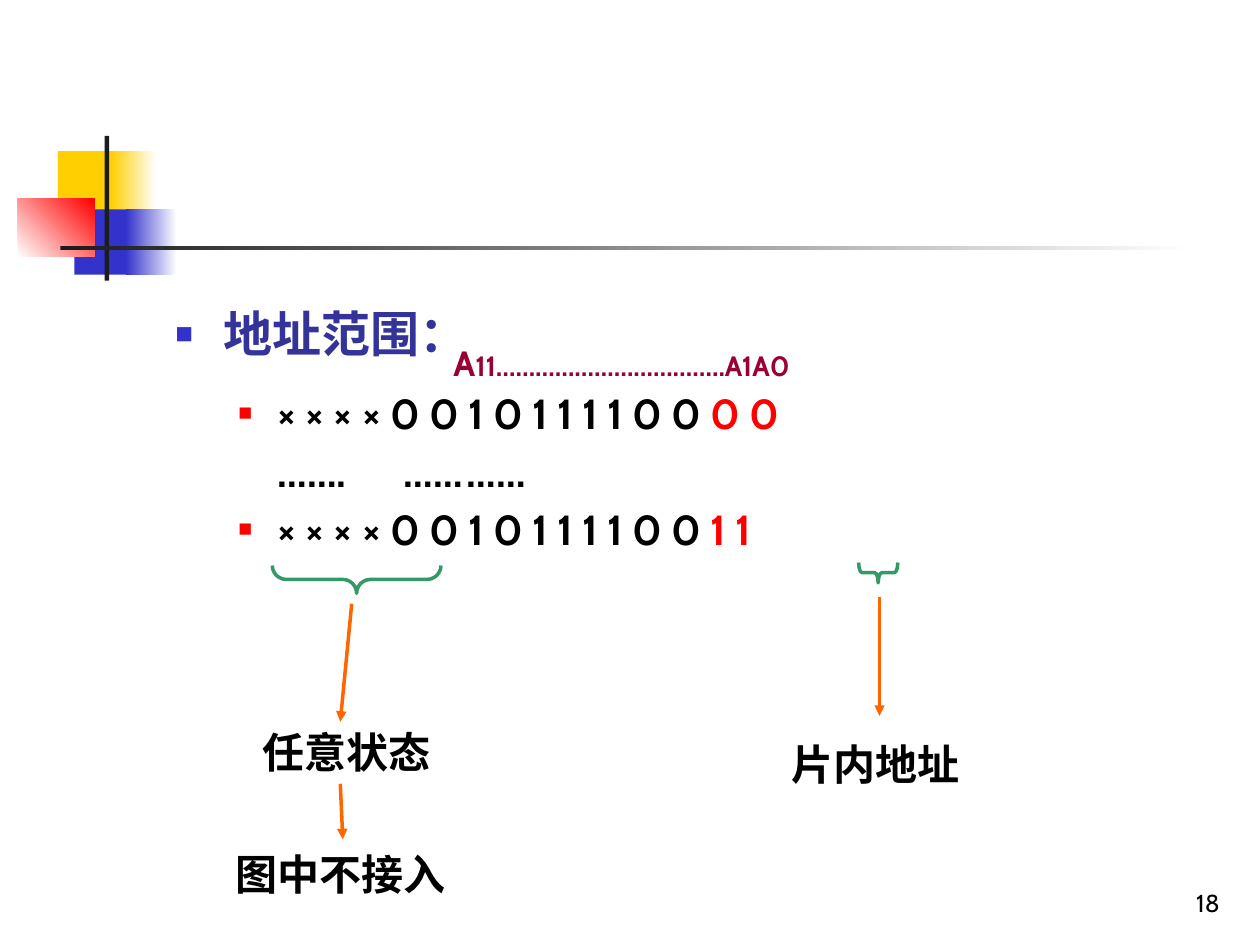
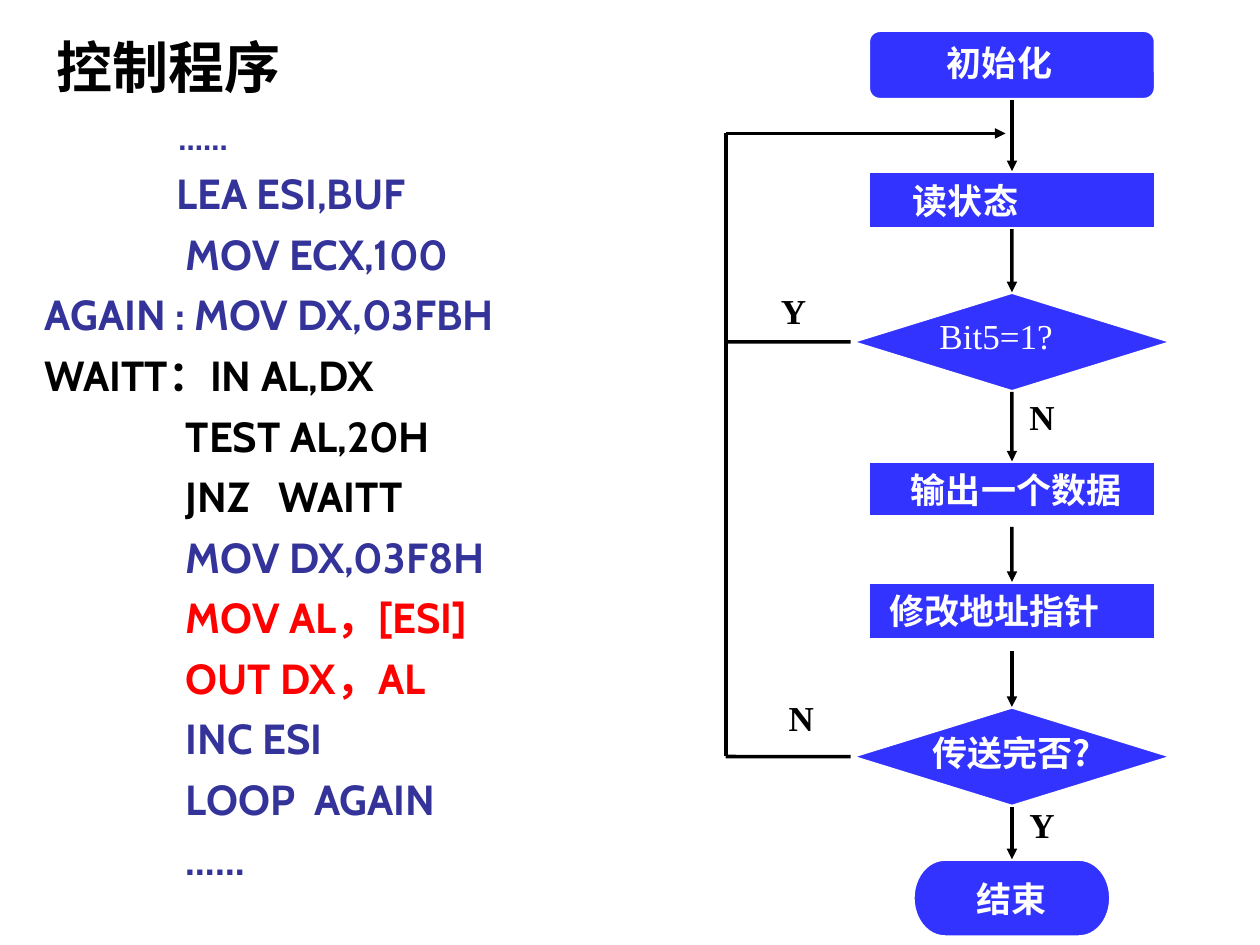
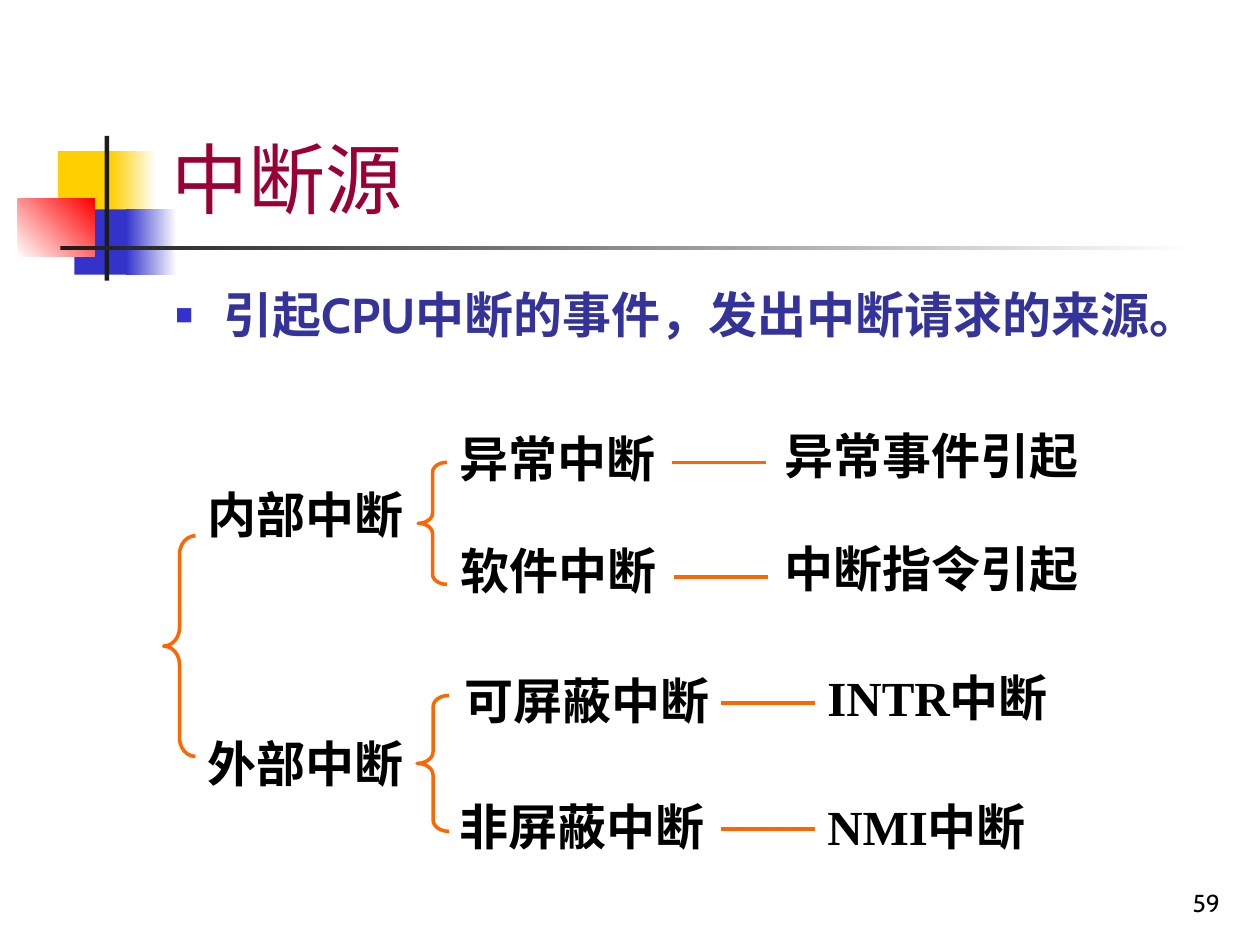
from lxml.etree import SubElement
from pptx import Presentation
from pptx.dml.color import RGBColor
from pptx.enum.lang import MSO_LANGUAGE_ID as Language
from pptx.enum.shapes import MSO_CONNECTOR as Connector, MSO_SHAPE as Preset
from pptx.enum.text import MSO_ANCHOR as Anchor, MSO_AUTO_SIZE as AutoSize, PP_ALIGN as Align
from pptx.oxml.ns import qn
from pptx.util import Cm, Pt

BLACK = RGBColor(0x00, 0x00, 0x00)
WHITE = RGBColor(0xFF, 0xFF, 0xFF)
INK = RGBColor(0x1C, 0x1C, 0x1C)
YELLOW = RGBColor(0xFF, 0xCF, 0x01)
BLUE = RGBColor(0x33, 0x33, 0xCC)
NAVY = RGBColor(0x33, 0x33, 0x99)
STEP_BLUE = RGBColor(0x33, 0x33, 0xFF)
RED = RGBColor(0xFF, 0x00, 0x00)
WINE = RGBColor(0x99, 0x00, 0x33)
GREEN = RGBColor(0x33, 0x99, 0x66)
ORANGE = RGBColor(0xFF, 0x66, 0x00)

SANS, SONG, SERIF = "Cabin", "Noto Sans CJK SC", "Times New Roman"
LINE_WIDTH = Pt(2)
LIST_GAP = 4.4
FLOW_AXIS = 20.4
STEP_WIDTH = 5.79


class Deck:
    """Holds the presentation, its style and the current page."""

    def __init__(self):
        self.file = Presentation()
        self.file.slide_width, self.file.slide_height = Cm(25.4), Cm(19.05)
        self.page = None

    def new_page(self, number=None):
        """Start a page; a numbered one carries the corner ornament."""
        self.page = self.file.slides.add_slide(self.file.slide_layouts[1])
        if number:
            self.ornament()
            self.label(number, 19.56, 17.35, 5.28, 1.27, size=14, bold=False,
                       align=Align.RIGHT, anchor=Anchor.BOTTOM)

    def ornament(self):
        self.block(1.17, 3.05, 1.22, 1.32, YELLOW)
        self.block(2.24, 3.05, 0.91, 1.32, YELLOW, WHITE)
        self.block(1.5, 4.22, 1.17, 1.32, BLUE)
        self.block(2.54, 4.22, 1.02, 1.32, BLUE, WHITE)
        self.block(0.36, 4.01, 1.55, 1.17, WHITE, RED, angle=45)
        self.block(2.11, 2.74, 0.09, 2.92, INK)
        self.block(1.22, 4.95, 22.86, 0.09, INK, WHITE)

    def shape(self, preset, left, top, width, height):
        shape = self.page.shapes.add_shape(preset, Cm(left), Cm(top), Cm(width), Cm(height))
        shape.shadow.inherit = False
        return shape

    def block(self, left, top, width, height, color, fade_to=None, angle=0):
        block = self.shape(Preset.RECTANGLE, left, top, width, height)
        block.line.fill.background()
        if fade_to is None:
            block.fill.solid()
            block.fill.fore_color.rgb = color
            return
        block.fill.gradient()
        block.fill.gradient_angle = angle
        for stop, stop_color in zip(block.fill.gradient_stops, (color, fade_to)):
            stop.color.rgb = stop_color

    def brace(self, left, top, width, height, curve, color, rotation=0):
        brace = self.shape(Preset.LEFT_BRACE, left, top, width, height)
        brace.fill.background()
        brace.line.color.rgb, brace.line.width = color, LINE_WIDTH
        brace.adjustments[0] = curve
        brace.rotation = rotation

    def step(self, preset, top, height, width=STEP_WIDTH, text=None, font=SONG,
             align=Align.LEFT, indent=0):
        """Add a flow chart step centred on the flow axis."""
        step = self.shape(preset, FLOW_AXIS - width / 2, top, width, height)
        step.fill.solid()
        step.fill.fore_color.rgb = STEP_BLUE
        step.line.color.rgb, step.line.width = WHITE, LINE_WIDTH
        if text:
            step.text_frame.word_wrap = True
            self.fill_para(step.text_frame.paragraphs[0], text, 20, WHITE, font=font,
                           align=align, indent=indent)
        return step

    def line(self, start, end, color=BLACK, arrow=False):
        """Draw a line; an end is a point in cm or a (shape, site) pair."""
        glued = [not isinstance(spot[0], (int, float)) for spot in (start, end)]
        points = [(0, 0) if is_glued else spot for is_glued, spot in zip(glued, (start, end))]
        line = self.page.shapes.add_connector(
            Connector.STRAIGHT, *(Cm(value) for point in points for value in point))
        if glued[0]:
            line.begin_connect(*start)
        if glued[1]:
            line.end_connect(*end)
        line.line.color.rgb, line.line.width = color, LINE_WIDTH
        properties = line._element.spPr
        if arrow:
            SubElement(properties.find(qn("a:ln")), qn("a:tailEnd"), type="triangle")
        SubElement(properties, qn("a:effectLst"))

    def label(self, text, left, top, width, height, size=24, color=BLACK, font=SANS,
              bold=True, align=Align.LEFT, anchor=Anchor.TOP, indent=0):
        box = self.page.shapes.add_textbox(Cm(left), Cm(top), Cm(width), Cm(height))
        box.text_frame.word_wrap = True
        box.text_frame.vertical_anchor = anchor
        self.fill_para(box.text_frame.paragraphs[0], text, size, color, bold, font, align, indent)

    def title(self, text, left, top, width, height, size, color, bold, anchor):
        frame = self.place(self.page.shapes.title, left, top, width, height)
        frame.vertical_anchor = anchor
        self.fill_para(frame.paragraphs[0], text, size, color, bold)

    def drop_title(self):
        title = self.page.shapes.title._element
        title.getparent().remove(title)

    def body(self, left, top, width, height):
        return self.place(self.page.placeholders[1], left, top, width, height)

    def place(self, holder, left, top, width, height):
        holder.left, holder.top = Cm(left), Cm(top)
        holder.width, holder.height = Cm(width), Cm(height)
        holder.text_frame.word_wrap = True
        holder.text_frame.auto_size = AutoSize.NONE
        return holder.text_frame

    def item(self, frame, text, size=24, color=BLACK, level=0, indent=0, hanging=0,
             bullet=None, tabs=(), after=0, spacing=1.0):
        """Add a list paragraph; bullet is a (colour, percent) pair."""
        first = not frame.text
        para = frame.paragraphs[0] if first else frame.add_paragraph()
        para.level = level
        para.line_spacing = spacing
        para.space_before = Pt(0 if first else LIST_GAP)
        para.space_after = Pt(after)
        properties = para._p.get_or_add_pPr()
        if bullet:
            bullet_color = SubElement(properties, qn("a:buClr"))
            SubElement(bullet_color, qn("a:srgbClr"), val=str(bullet[0]))
            SubElement(properties, qn("a:buSzPct"), val=str(bullet[1] * 1000))
            SubElement(properties, qn("a:buChar"), char="■")
        else:
            SubElement(properties, qn("a:buNone"))
        if tabs:
            tab_list = SubElement(properties, qn("a:tabLst"))
            for position in tabs:
                SubElement(tab_list, qn("a:tab"), pos=str(Cm(position)), algn="l")
        self.fill_para(para, text, size, color, indent=indent, hanging=hanging)

    def heading_item(self, frame, text, after=0):
        self.item(frame, text, 28, NAVY, indent=0.97, hanging=0.97,
                  bullet=(BLUE, 60), after=after)

    def fill_para(self, para, text, size, color, bold=True, font=SANS, align=Align.LEFT,
                  indent=0, hanging=0):
        """Fill a paragraph; text is a string or a list of (text, colour, size) spans."""
        para.alignment = align
        properties = para._p.get_or_add_pPr()
        properties.set("marL", str(Cm(indent)))
        properties.set("indent", str(-Cm(hanging)))
        para.font.size, para.font.bold, para.font.name = Pt(size), bold, font
        para.font.color.rgb = color
        para.font.language_id = Language.SIMPLIFIED_CHINESE
        SubElement(properties.find(qn("a:defRPr")), qn("a:ea"), typeface=SANS)
        spans = [(text, None, None)] if isinstance(text, str) else text
        for content, span_color, span_size in spans:
            span = para.add_run()
            span.text = content
            if span_color is not None:
                span.font.color.rgb = span_color
            if span_size is not None:
                span.font.size = Pt(span_size)


def address_range(deck):
    deck.new_page("18")
    deck.drop_title()
    frame = deck.body(3.28, 5.99, 18.42, 4.93)
    deck.heading_item(frame, "地址范围：", after=9.8)

    def address(chip_bits):
        spans = [("× × × × 0 0 1 0 1 1 1 1 0 0 ", None, None), (chip_bits, RED, None)]
        deck.item(frame, spans, level=1, indent=2.06, hanging=0.79, bullet=(RED, 55))

    address("0 0")
    deck.item(frame, "…….\t……\t……", level=1, indent=2.06, tabs=(6.65, 10.31))
    address("1 1")

    deck.brace(6.91, 9.98, 0.56, 3.4, 0.5, GREEN, rotation=270)
    deck.brace(17.5, 11.15, 0.41, 0.79, 0.17, GREEN, rotation=270)
    for start, end in (((7.09, 12.17), (6.86, 14.55)),
                       ((17.73, 12.04), (17.73, 14.43)),
                       ((6.86, 15.8), (6.91, 16.92))):
        deck.line(start, end, ORANGE, arrow=True)
    deck.label("任意状态", 5.05, 14.53, 4.19, 1.27)
    deck.label("片内地址", 15.7, 14.76, 4.19, 1.27)
    deck.label("图中不接入", 4.5, 16.99, 5.59, 1.27)
    deck.label([("A", None, 20), ("11……………………………..A1A0", None, None)],
               8.89, 6.76, 10.11, 1.12, size=16, color=WINE)


def control_program(deck):
    deck.new_page()
    deck.title("控制程序", 0.89, 0.53, 7.39, 1.6, 32, BLACK, True, Anchor.TOP)
    code = (
        ("                 ……", NAVY, 20),
        ("              LEA ESI,BUF", NAVY, 24),
        ("               MOV ECX,100", NAVY, 24),
        ("AGAIN : MOV DX,03FBH", NAVY, 24),
        ("WAITT：IN AL,DX", BLACK, 24),
        ("               TEST AL,20H", BLACK, 24),
        ("               JNZ   WAITT", BLACK, 24),
        ("               MOV DX,03F8H", NAVY, 24),
        ("               MOV AL，[ESI]", RED, 24),
        ("               OUT DX，AL", RED, 24),
        ("               INC ESI", NAVY, 24),
        ("               LOOP  AGAIN", NAVY, 24),
        ("               ……", NAVY, 24),
    )
    frame = deck.body(0.64, 2.16, 13.39, 16.74)
    for text, color, size in code:
        deck.item(frame, text, size, color, spacing=1.05)

    start = deck.step(Preset.FLOWCHART_ALTERNATE_PROCESS, 0.61, 1.4)
    read = deck.step(Preset.RECTANGLE, 3.45, 1.17, text="读状态", indent=0.65)
    busy = deck.step(Preset.FLOWCHART_DECISION, 5.89, 2.01, width=6.5)
    output = deck.step(Preset.RECTANGLE, 9.3, 1.12, text="输出一个数据", font=SERIF,
                       align=Align.CENTER, indent=0.17)
    advance = deck.step(Preset.RECTANGLE, 11.73, 1.17, text="修改地址指针", indent=0.17)
    finished = deck.step(Preset.FLOWCHART_DECISION, 14.25, 2.01, width=6.5)
    stop = deck.step(Preset.FLOWCHART_TERMINATOR, 17.32, 1.57, width=3.99, text="结束",
                     font=SANS, align=Align.CENTER)
    deck.label("初始化", 18.69, 0.71, 3.81, 1.09, 20, WHITE, SONG, indent=0.15)
    deck.label("Bit5=1?", 18.69, 6.22, 3.61, 1.09, 20, WHITE, SERIF, bold=False)
    deck.label("传送完否?", 18.54, 14.63, 4.75, 1.09, 20, WHITE, SONG)

    for begin, target in (((start, 2), read), ((read, 2), busy), ((busy, 2), output),
                          ((FLOW_AXIS, 10.62), advance), ((FLOW_AXIS, 13.13), finished),
                          ((finished, 2), stop)):
        deck.line(begin, (target, 0), arrow=True)

    return_x, return_top = 14.63, 2.69
    deck.line((busy, 1), (return_x, 6.89))
    deck.line((finished, 1), (return_x, 15.25))
    deck.line((return_x, 15.25), (return_x, return_top))
    deck.line((return_x, return_top), (20.27, return_top), arrow=True)
    for answer, left, top in (("Y", 15.49, 5.72), ("N", 20.5, 7.85),
                              ("N", 15.65, 13.92), ("Y", 20.5, 16.08)):
        deck.label(answer, left, top, 1.19, 1.09, 20, font=SERIF)


def interrupt_sources(deck):
    deck.new_page("59")
    deck.title("中断源", 3.2, 0.58, 21.64, 4.06, 44, WINE, False, Anchor.BOTTOM)
    frame = deck.body(3.28, 5.61, 21.59, 4.01)
    deck.heading_item(frame, "引起CPU中断的事件，发出中断请求的来源。")

    for text, left, top in (
            ("内部中断", 3.94, 9.65), ("外部中断", 3.94, 14.66),
            ("异常中断", 9.02, 8.51), ("软件中断", 9.04, 10.77),
            ("可屏蔽中断", 9.12, 13.39), ("非屏蔽中断", 9.02, 15.93),
            ("异常事件引起", 15.57, 8.46), ("中断指令引起", 15.57, 10.74),
            ("INTR中断", 16.43, 13.34), ("NMI中断", 16.43, 15.93)):
        deck.label(text, left, top, 6.99, 1.45, 28, font=SERIF)

    deck.brace(3.3, 10.8, 0.64, 4.45, 0.58, ORANGE)
    deck.brace(8.43, 9.32, 0.58, 2.46, 0.35, ORANGE)
    deck.brace(8.41, 14.02, 0.64, 2.74, 0.36, ORANGE)
    for left, top in ((13.54, 9.32), (13.59, 11.63), (14.53, 14.17), (14.53, 16.71)):
        deck.line((left, top), (left + 1.9, top), ORANGE)


def main():
    deck = Deck()
    address_range(deck)
    control_program(deck)
    interrupt_sources(deck)
    deck.file.save("out.pptx")


if __name__ == "__main__":
    main()
